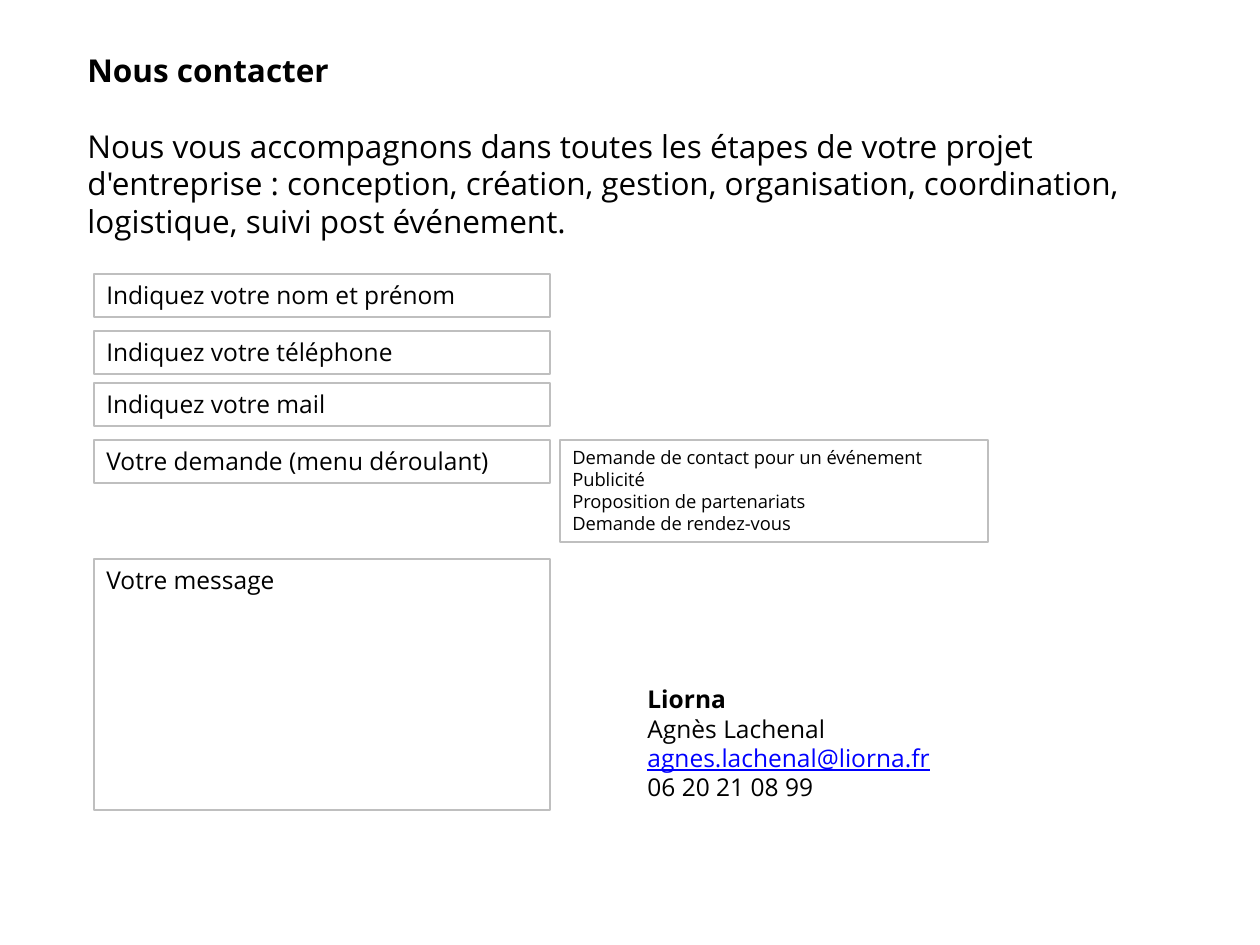
from pptx import Presentation
from pptx.dml.color import RGBColor
from pptx.enum.shapes import MSO_SHAPE
from pptx.enum.text import MSO_ANCHOR, PP_ALIGN
from pptx.util import Emu, Pt

PX = 914400 // 126
COLORS = {"text": "000000", "border": "BFBFBF", "mail": "0000FF"}


class ContactSlide:
    """Holds the style and the current slide of the contact form."""

    font = "Open Sans"

    def __init__(self, prs):
        self.slide = prs.slides.add_slide(prs.slide_layouts[6])

    def color(self, name):
        return RGBColor.from_string(COLORS[name])

    def fill_text(self, shape, lines, size, bold_first=False, gap=0, mail=None):
        frame = shape.text_frame
        frame.word_wrap = True
        frame.vertical_anchor = MSO_ANCHOR.TOP
        for i, line in enumerate(lines):
            par = frame.paragraphs[0] if i == 0 else frame.add_paragraph()
            par.alignment = PP_ALIGN.LEFT
            if i:
                par.space_before = Pt(gap)
            run = par.add_run()
            run.text = line
            run.font.name = self.font
            run.font.size = Pt(size)
            run.font.bold = bold_first and i == 0
            run.font.underline = line == mail
            run.font.color.rgb = self.color("mail" if line == mail else "text")

    def text(self, x, y, w, h, lines, size, **style):
        box = self.slide.shapes.add_textbox(*(Emu(v * PX) for v in (x, y, w, h)))
        self.fill_text(box, lines, size, **style)

    def field(self, x, y, w, h, lines, size=14):
        box = self.slide.shapes.add_shape(
            MSO_SHAPE.RECTANGLE, *(Emu(v * PX) for v in (x, y, w, h)))
        box.shadow.inherit = False
        box.fill.background()
        box.line.color.rgb = self.color("border")
        box.line.width = Pt(0.75)
        self.fill_text(box, lines, size)


prs = Presentation()
prs.slide_width, prs.slide_height = Emu(1260 * PX), Emu(945 * PX)
page = ContactSlide(prs)

page.text(75, 45, 1121, 204, [
    "Nous contacter",
    "Nous vous accompagnons dans toutes les étapes de votre projet d'entreprise : "
    "conception, création, gestion, organisation, coordination, logistique, "
    "suivi post événement.",
], 18, bold_first=True, gap=21.5)

FORM_X, FORM_W, FIELD_H = 94, 456, 43
for top, height, label in [
    (274, FIELD_H, "Indiquez votre nom et prénom"),
    (331, FIELD_H, "Indiquez votre téléphone"),
    (383, FIELD_H, "Indiquez votre mail"),
    (440, FIELD_H, "Votre demande (menu déroulant)"),
    (559, 251, "Votre message"),
]:
    page.field(FORM_X, top, FORM_W, height, [label])

page.field(560, 440, 428, 102, [
    "Demande de contact pour un événement",
    "Publicité",
    "Proposition de partenariats",
    "Demande de rendez-vous",
], size=10.5)

mail = "agnes.lachenal@liorna.fr"
page.text(635, 678, 471, 131, ["Liorna", "Agnès Lachenal", mail, "06 20 21 08 99"],
          14, bold_first=True, mail=mail)

prs.save("out.pptx")
